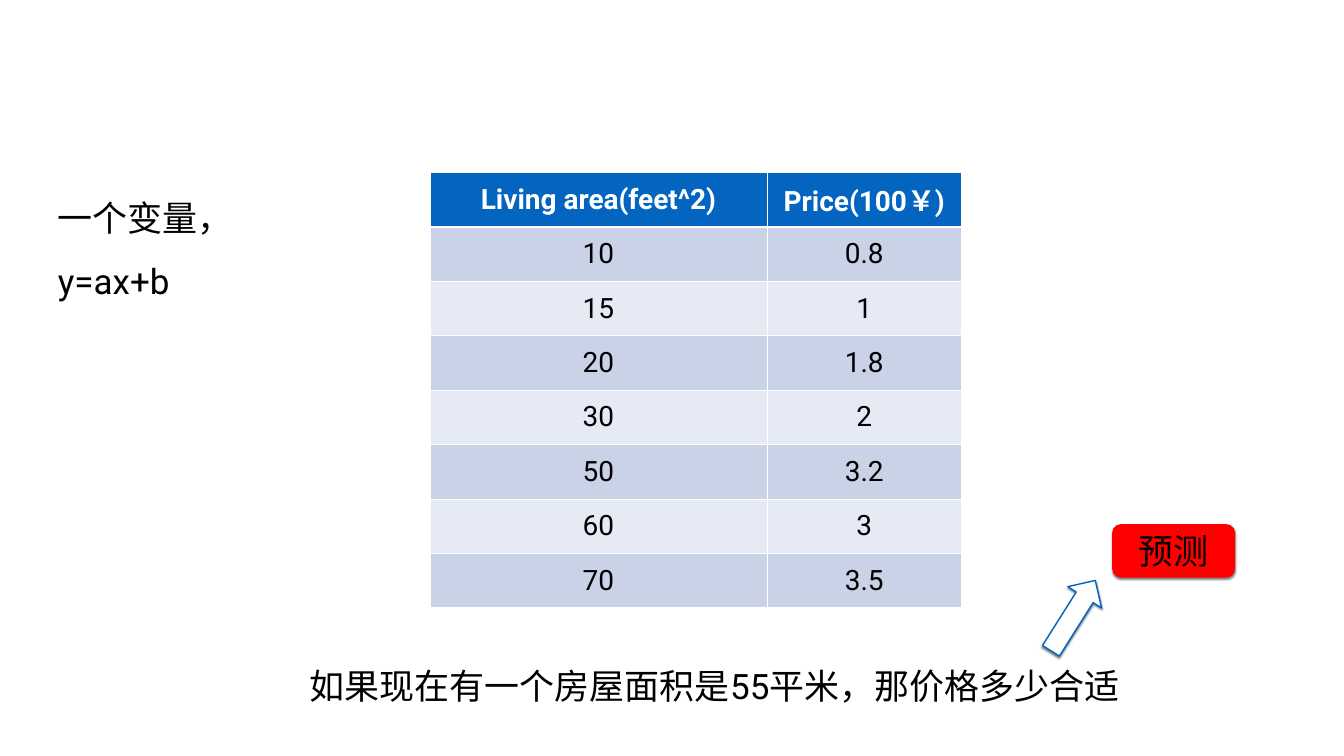
from lxml.etree import SubElement
from pptx import Presentation
from pptx.dml.color import RGBColor
from pptx.enum.shapes import MSO_SHAPE
from pptx.enum.text import MSO_ANCHOR, MSO_AUTO_SIZE, PP_ALIGN
from pptx.oxml import parse_xml
from pptx.oxml.ns import nsdecls, qn
from pptx.util import Inches, Pt

FONT = "Roboto"
BLACK = RGBColor(0x00, 0x00, 0x00)
WHITE = RGBColor(0xFF, 0xFF, 0xFF)
BLUE = RGBColor(0x03, 0x65, 0xC0)
RED = RGBColor(0xFF, 0x00, 0x00)
BANDS = [RGBColor(0xCA, 0xD2, 0xE8), RGBColor(0xE6, 0xEA, 0xF4)]

MODEL = ["一个变量，", "y=ax+b"]
QUESTION = ["如果现在有一个房屋面积是55平米，那价格多少合适"]
PREDICTION = ["预测"]
HEADER = ("Living area(feet^2)", "Price(100￥)")
HOUSES = [
    ("10", "0.8"),
    ("15", "1"),
    ("20", "1.8"),
    ("30", "2"),
    ("50", "3.2"),
    ("60", "3"),
    ("70", "3.5"),
]
COLUMN_WIDTHS = (6.69, 3.86)
ROW_HEIGHT = 1.08


def box(left, top, width, height):
    return [Inches(value) for value in (left, top, width, height)]


def style(paragraph, size, color, bold=False):
    paragraph.font.name = FONT
    paragraph.font.size = Pt(size)
    paragraph.font.color.rgb = color
    paragraph.font.bold = bold


def write(shape, lines, align=PP_ALIGN.LEFT, spacing=None):
    frame = shape.text_frame
    frame.word_wrap = True
    frame.auto_size = MSO_AUTO_SIZE.SHAPE_TO_FIT_TEXT
    frame.vertical_anchor = MSO_ANCHOR.MIDDLE
    frame.margin_left = frame.margin_right = Inches(0.06)
    frame.margin_top = frame.margin_bottom = Inches(0.06)
    frame.text = "\n".join(lines)
    for paragraph in frame.paragraphs:
        paragraph.alignment = align
        if spacing:
            paragraph.line_spacing = spacing
        style(paragraph, 50, BLACK)


def drop_shadow(shape):
    """Replace the theme shadow with a soft one falling straight down."""
    shape.shadow.inherit = False
    effects = shape._element.spPr.find(qn("a:effectLst"))
    effects.append(parse_xml(
        f'<a:outerShdw {nsdecls("a")} blurRad="{Pt(3)}" dist="{Pt(2)}" dir="5400000" rotWithShape="0">'
        '<a:srgbClr val="000000"><a:alpha val="50000"/></a:srgbClr></a:outerShdw>'))


def set_borders(cell, top, bottom):
    """Draw white cell borders; call before filling, as fill must follow them."""
    properties = cell._tc.get_or_add_tcPr()
    for side, points in (("L", 1), ("R", 1), ("T", top), ("B", bottom)):
        line = SubElement(properties, qn(f"a:ln{side}"), w=str(Pt(points)))
        SubElement(SubElement(line, qn("a:solidFill")), qn("a:srgbClr"), val=str(WHITE))


def add_house_table(slide):
    rows = [HEADER, *HOUSES]
    area = box(8.53, 3.42, sum(COLUMN_WIDTHS), ROW_HEIGHT * len(rows))
    table = slide.shapes.add_table(len(rows), len(HEADER), *area).table
    for column, width in zip(table.columns, COLUMN_WIDTHS):
        column.width = Inches(width)
    for r, values in enumerate(rows):
        table.rows[r].height = Inches(ROW_HEIGHT)
        is_header = r == 0
        for c, value in enumerate(values):
            cell = table.cell(r, c)
            set_borders(cell, top=3 if r == 1 else 1, bottom=3 if is_header else 1)
            cell.fill.solid()
            cell.fill.fore_color.rgb = BLUE if is_header else BANDS[(r - 1) % 2]
            cell.vertical_anchor = MSO_ANCHOR.MIDDLE
            cell.text = value
            paragraph = cell.text_frame.paragraphs[0]
            paragraph.alignment = PP_ALIGN.CENTER
            style(paragraph, 40, WHITE if is_header else BLACK, is_header)


def add_filled_shape(slide, preset, area, color):
    shape = slide.shapes.add_shape(preset, *area)
    shape.fill.solid()
    shape.fill.fore_color.rgb = color
    shape.line.fill.background()
    drop_shadow(shape)
    return shape


def main():
    presentation = Presentation()
    presentation.slide_width = Inches(26.67)
    presentation.slide_height = Inches(15)
    slide = presentation.slides.add_slide(presentation.slide_layouts[6])

    model = slide.shapes.add_textbox(*box(1.09, 3.41, 22.84, 2.64))
    write(model, MODEL, spacing=1.5)

    add_house_table(slide)

    question = slide.shapes.add_textbox(*box(6.09, 13.13, 16.3, 0.95))
    write(question, QUESTION)

    arrow = add_filled_shape(slide, MSO_SHAPE.RIGHT_ARROW, box(20.47, 11.82, 1.65, 0.79), WHITE)
    arrow.rotation = 302.2
    arrow.line.color.rgb = BLUE
    arrow.line.width = Pt(2)

    prediction = add_filled_shape(slide, MSO_SHAPE.ROUNDED_RECTANGLE, box(22.07, 10.4, 2.44, 1.06), RED)
    write(prediction, PREDICTION, align=PP_ALIGN.CENTER)

    presentation.save("out.pptx")


if __name__ == "__main__":
    main()
